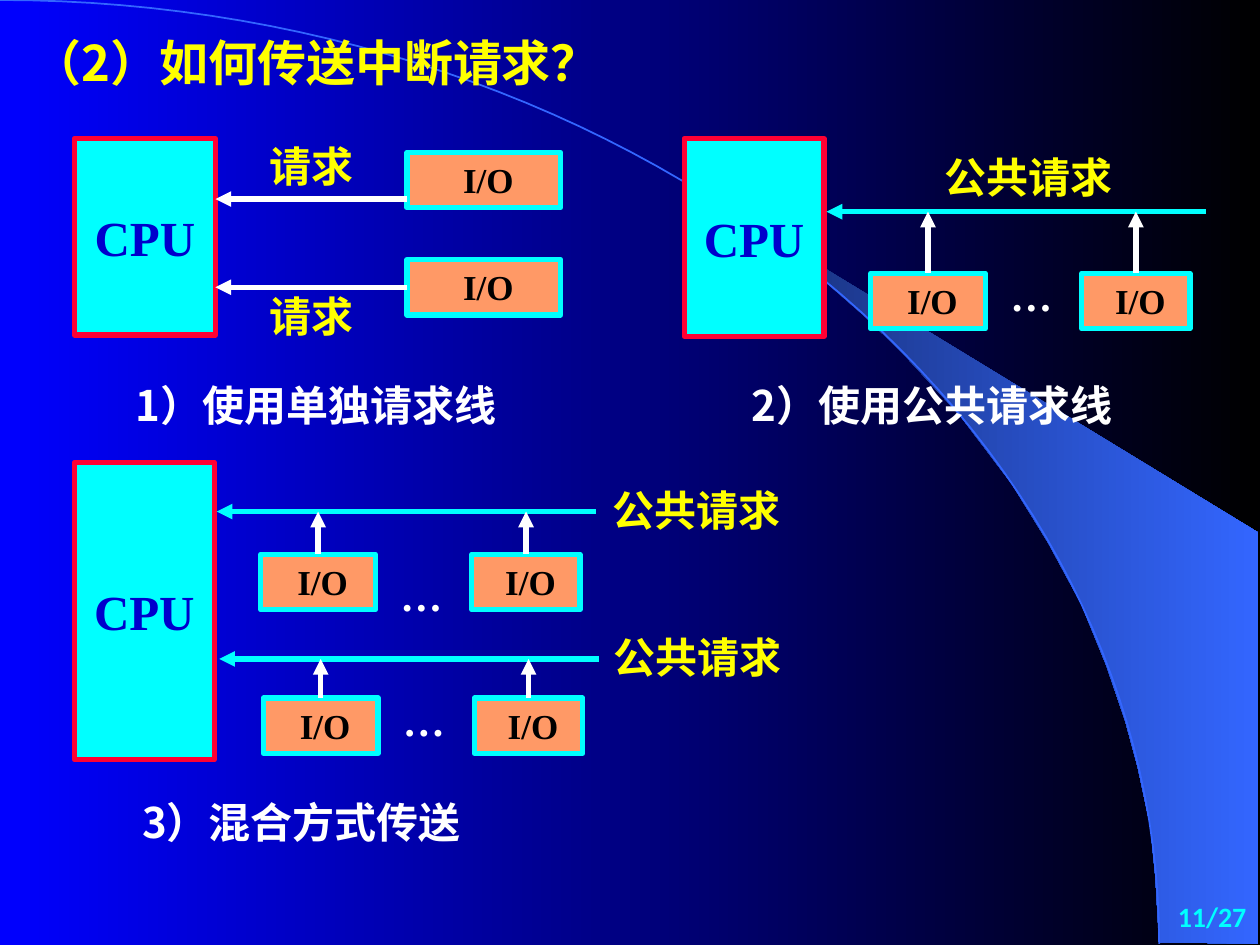
from math import cos, pi, sin
from lxml.etree import SubElement
from pptx import Presentation
from pptx.dml.color import RGBColor
from pptx.enum.shapes import MSO_CONNECTOR, MSO_SHAPE
from pptx.enum.text import MSO_ANCHOR, MSO_AUTO_SIZE, PP_ALIGN
from pptx.oxml.ns import qn
from pptx.util import Inches, Pt

COLUMNS, ROWS = 100, 75
SERIF, CHINESE = "Times New Roman", "Noto Sans CJK SC"
WHITE, YELLOW, CYAN, ORANGE = "FFFFFF", "FFFF00", "00FFFF", "FF9966"
BLUE, BLACK, RED, NAVY = "0000FF", "000000", "FF0033", "0000CC"
ARC_BLUE, ARC_SHADE = "3366FF", "182F76"

TITLE = ("（2）如何传送中断请求？", (1.6, 2.1, 63.3, 5.7))
PAGE = ("11/27", (89.4, 70.9, 10.5, 3.9))
CAPTIONS = [
    ("1）使用单独请求线", (9.8, 29.6, 32.2, 5)),
    ("2）使用公共请求线", (58.7, 29.6, 32.3, 5)),
    ("3）混合方式传送", (10.3, 62.7, 31.5, 5)),
]
PROCESSORS = [(5.9, 11, 11.2, 15.6), (54.3, 11, 11.1, 15.7), (5.9, 36.7, 11.1, 23.6)]
SINGLE_LINES = [
    {"device_top": 12.1, "line": 15.8, "label_top": 10.7},
    {"device_top": 20.6, "line": None, "label_top": 22.6},
]
SHARED_LINES = [
    {"left": 65.6, "line": 16.8, "device_top": 21.7, "dots_top": 20.9, "label": (74, 11.5)},
    {"left": 17.2, "line": 40.6, "device_top": 44, "dots_top": 44.7, "label": (47.6, 38)},
    {"left": 17.4, "line": 52.3, "device_top": 55.4, "dots_top": 54.6, "label": (47.7, 49.6)},
]
SHARED_LENGTH, DEVICE_HEIGHT = 30.1, 4.4
SHARED_DEVICES = [(20.25, 8.6), (3.5, 9.1)]
SWOOSH = [
    (92, 74.8), (99.9, 74.9), (99.9, 42.3), (58.9, 17.3), (62.4, 19.9), (65.3, 22.2),
    (68.5, 25), (71.6, 28), (76.2, 33), (80.3, 38.4), (83.2, 43.1), (85.8, 47.9),
    (87.8, 52.8), (89.3, 57.2), (90.3, 60.9), (91.3, 65.6), (91.7, 69.6),
]
ARC_WIDTH, ARC_HEIGHT, ARC_STEPS = 92, 74.9, 60

presentation = Presentation()
presentation.slide_width, presentation.slide_height = Inches(10), Inches(7.5)
slide = presentation.slides.add_slide(presentation.slide_layouts[5])
shapes = slide.shapes


def across(columns):
    return round(presentation.slide_width * columns / COLUMNS)


def down(rows):
    return round(presentation.slide_height * rows / ROWS)


def place(box):
    left, top, width, height = box
    return across(left), down(top), across(width), down(height)


def color(value):
    return RGBColor.from_string(value)


def paint_gradient(fill, *values):
    fill.gradient()
    fill.gradient_angle = 0
    for position, (stop, value) in enumerate(zip(fill.gradient_stops, values)):
        stop.position = position
        stop.color.rgb = color(value)


def write(shape, text, size=24, font=SERIF, ink=WHITE, align=PP_ALIGN.LEFT,
          anchor=MSO_ANCHOR.TOP, wrap=True, indent=0.1):
    frame = shape.text_frame
    frame.auto_size = MSO_AUTO_SIZE.NONE
    frame.word_wrap = wrap
    frame.vertical_anchor = anchor
    frame.margin_left = Inches(indent)
    frame.margin_right = Inches(0.1)
    frame.margin_top = frame.margin_bottom = Inches(0.05)
    paragraph = frame.paragraphs[0]
    paragraph.alignment = align
    run = paragraph.add_run()
    run.text = text
    run.font.size = Pt(size)
    run.font.bold = True
    run.font.name = font
    run.font.color.rgb = color(ink)
    SubElement(run.font._element, qn("a:ea"), typeface=CHINESE)


def add_label(text, box, **style):
    write(shapes.add_textbox(*place(box)), text, **style)


def add_block(text, box, fill, line, **style):
    block = shapes.add_shape(MSO_SHAPE.RECTANGLE, *place(box))
    block.shadow.inherit = False
    block.fill.solid()
    block.fill.fore_color.rgb = color(fill)
    block.line.color.rgb = color(line)
    block.line.width = Pt(3)
    write(block, text, align=PP_ALIGN.CENTER, **style)
    return block


def add_device(left, top, width):
    return add_block("I/O", (left, top, width, DEVICE_HEIGHT), ORANGE, CYAN,
                     size=20, ink=BLACK, indent=0.17)


def add_arrow(tip, tail, ink, device=None, side=0):
    arrow = shapes.add_connector(MSO_CONNECTOR.STRAIGHT, across(tip[0]), down(tip[1]),
                                 across(tail[0]), down(tail[1]))
    if device is not None:
        arrow.end_connect(device, side)
    arrow.line.color.rgb = color(ink)
    arrow.line.width = Pt(3)
    SubElement(arrow.line._get_or_add_ln(), qn("a:headEnd"), type="triangle")
    SubElement(arrow._element.spPr, qn("a:effectLst"))


def add_outline(points, close):
    start, *rest = [(across(x), down(y)) for x, y in points]
    builder = shapes.build_freeform(*start)
    builder.add_line_segments(rest, close=close)
    outline = builder.convert_to_shape()
    outline.shadow.inherit = False
    return outline


def add_backdrop():
    paint_gradient(slide.background.fill, BLUE, BLACK)
    swoosh = add_outline(SWOOSH, True)
    paint_gradient(swoosh.fill, ARC_SHADE, ARC_BLUE)
    swoosh.line.fill.background()
    angles = [pi / 2 * step / ARC_STEPS for step in range(ARC_STEPS + 1)]
    arc = add_outline([(ARC_WIDTH * sin(angle), ARC_HEIGHT * (1 - cos(angle)))
                       for angle in angles], False)
    arc.fill.background()
    arc.line.color.rgb = color(ARC_BLUE)
    arc.line.width = Pt(1)


def add_title():
    text, box = TITLE
    title = shapes.title
    title.left, title.top, title.width, title.height = place(box)
    write(title, text, size=28, font=CHINESE, ink=YELLOW)
    shapes._spTree.append(title._element)


def add_single_line(device_top, line, label_top):
    device = add_device(32.3, device_top, 12.2)
    middle = device_top + DEVICE_HEIGHT / 2
    if line is None:
        add_arrow((17.1, middle), (32.3, middle), WHITE, device, 1)
    else:
        add_arrow((17.1, line), (32.3, line), WHITE)
    add_label("请求", (18.5, label_top, 12.5, 5), ink=YELLOW, align=PP_ALIGN.CENTER)


def add_shared_line(left, line, device_top, dots_top, label):
    add_arrow((left, line), (left + SHARED_LENGTH, line), CYAN)
    add_label("公共请求", (*label, 20.1, 5), ink=YELLOW)
    for offset, width in SHARED_DEVICES:
        device = add_device(left + offset, device_top, width)
        middle = left + offset + width / 2
        add_arrow((middle, line), (middle, device_top), WHITE, device)
    add_label("…", (left + 13.6, dots_top, 5.3, 5), wrap=False)


add_backdrop()
add_title()
add_label(*PAGE, size=16, font="Calibri", ink=CYAN, align=PP_ALIGN.RIGHT)
for caption, box in CAPTIONS:
    add_label(caption, box, font=CHINESE)
for box in PROCESSORS:
    add_block("CPU", box, CYAN, RED, size=28, ink=NAVY, anchor=MSO_ANCHOR.MIDDLE, wrap=False)
for single_line in SINGLE_LINES:
    add_single_line(**single_line)
for shared_line in SHARED_LINES:
    add_shared_line(**shared_line)
presentation.save("out.pptx")
